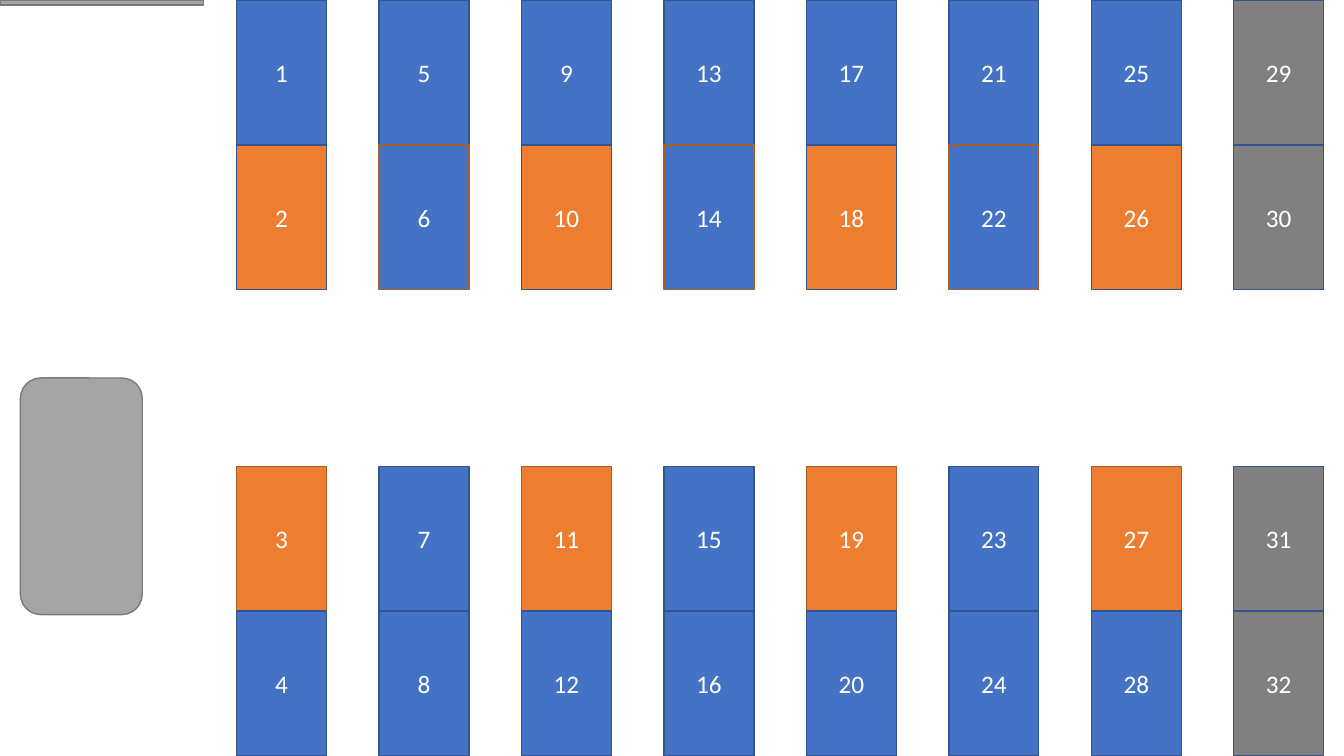
from pptx import Presentation
from pptx.dml.color import RGBColor
from pptx.enum.shapes import MSO_SHAPE
from pptx.enum.text import MSO_ANCHOR, PP_ALIGN
from pptx.util import Pt

RECTANGLE = MSO_SHAPE.RECTANGLE
ROUNDED = MSO_SHAPE.ROUNDED_RECTANGLE
MIDDLE = MSO_ANCHOR.MIDDLE
CENTER = PP_ALIGN.CENTER

WHITE = RGBColor(0xFF, 0xFF, 0xFF)
BLUE = RGBColor(0x44, 0x72, 0xC4)
DARK_BLUE = RGBColor(0x32, 0x54, 0x91)
ORANGE = RGBColor(0xED, 0x7D, 0x31)
DARK_ORANGE = RGBColor(0xAF, 0x5C, 0x24)
GRAY = RGBColor(0x80, 0x80, 0x80)
LIGHT_GRAY = RGBColor(0xA5, 0xA5, 0xA5)
OUTLINE_GRAY = RGBColor(0x7A, 0x7A, 0x7A)

SLIDE_WIDTH, SLIDE_HEIGHT = 960, 540
COLUMN_COUNT = 8
DESK_WIDTH, DESK_HEIGHT = 64.2, 103.5
DESKS_PER_COLUMN = 4

# Fill and outline of the four desks in a column, from top to bottom
PLAIN = (BLUE, DARK_BLUE)
ORANGE_COLUMN = [PLAIN, (ORANGE, DARK_BLUE), (ORANGE, DARK_ORANGE), PLAIN]
BLUE_COLUMN = [PLAIN, (BLUE, DARK_ORANGE), PLAIN, PLAIN]
GRAY_COLUMN = [(GRAY, DARK_BLUE)] * DESKS_PER_COLUMN


def add_block(shapes, kind, box, fill, outline):
    shape = shapes.add_shape(kind, *(Pt(length) for length in box))
    shape.shadow.inherit = False
    shape.fill.solid()
    shape.fill.fore_color.rgb = fill
    shape.line.color.rgb = outline
    shape.line.width = Pt(1)
    return shape


def add_front(slide, left, top, width):
    """Teacher's desk and the board on the wall."""
    add_block(slide.shapes, ROUNDED, (left + 14.6, top + 270, 87, 169),
              LIGHT_GRAY, OUTLINE_GRAY)
    add_block(slide.shapes, RECTANGLE, (left, top, width, 3.6),
              LIGHT_GRAY, OUTLINE_GRAY)


def add_desk_column(slide, left, top, height, first_number, styles):
    """Two desks at the top of the box and two at its bottom."""
    group = slide.shapes.add_group_shape()
    desk_tops = (top, top + DESK_HEIGHT,
                 top + height - 2 * DESK_HEIGHT, top + height - DESK_HEIGHT)
    for index, (desk_top, (fill, outline)) in enumerate(zip(desk_tops, styles)):
        desk = add_block(group.shapes, RECTANGLE,
                         (left, desk_top, DESK_WIDTH, DESK_HEIGHT), fill, outline)
        desk.text_frame.vertical_anchor = MIDDLE
        paragraph = desk.text_frame.paragraphs[0]
        paragraph.text = str(first_number + index)
        paragraph.alignment = CENTER
        paragraph.font.name = "Calibri"
        paragraph.font.size = Pt(18)
        paragraph.font.color.rgb = WHITE


def add_seating(slide, left, top, width, height):
    """Evenly spaced desk columns, numbered from left to right."""
    pitch = (width - DESK_WIDTH) / (COLUMN_COUNT - 1)
    for column in reversed(range(COLUMN_COUNT)):
        if column == COLUMN_COUNT - 1:
            styles = GRAY_COLUMN
        else:
            styles = BLUE_COLUMN if column % 2 else ORANGE_COLUMN
        add_desk_column(slide, left + column * pitch, top, height,
                        column * DESKS_PER_COLUMN + 1, styles)


def main():
    presentation = Presentation()
    presentation.slide_width = Pt(SLIDE_WIDTH)
    presentation.slide_height = Pt(SLIDE_HEIGHT)
    slide = presentation.slides.add_slide(presentation.slide_layouts[6])
    add_front(slide, 0, 0, 145.3)
    add_seating(slide, 169, 0, 776.5, SLIDE_HEIGHT)
    presentation.save("out.pptx")


if __name__ == "__main__":
    main()
